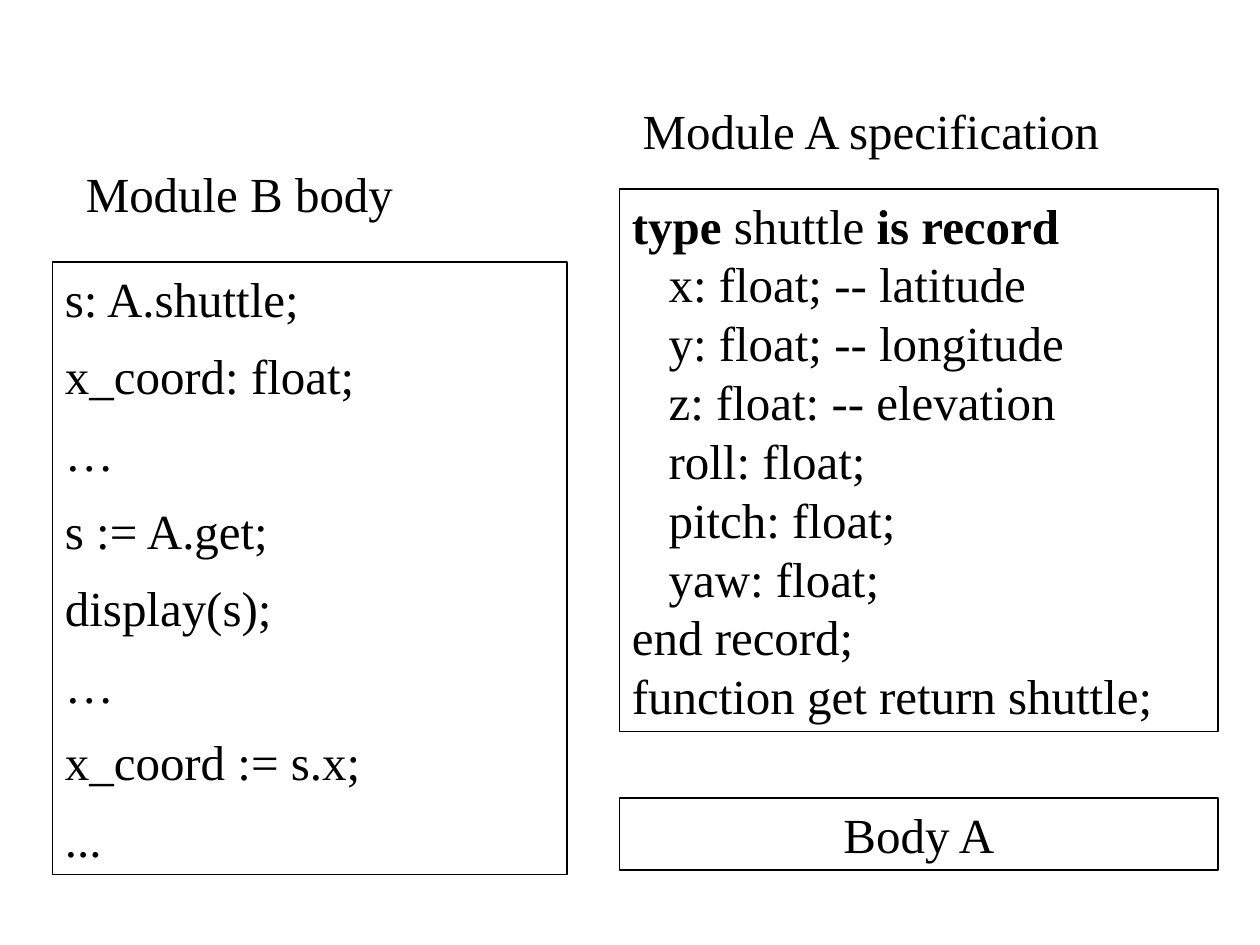
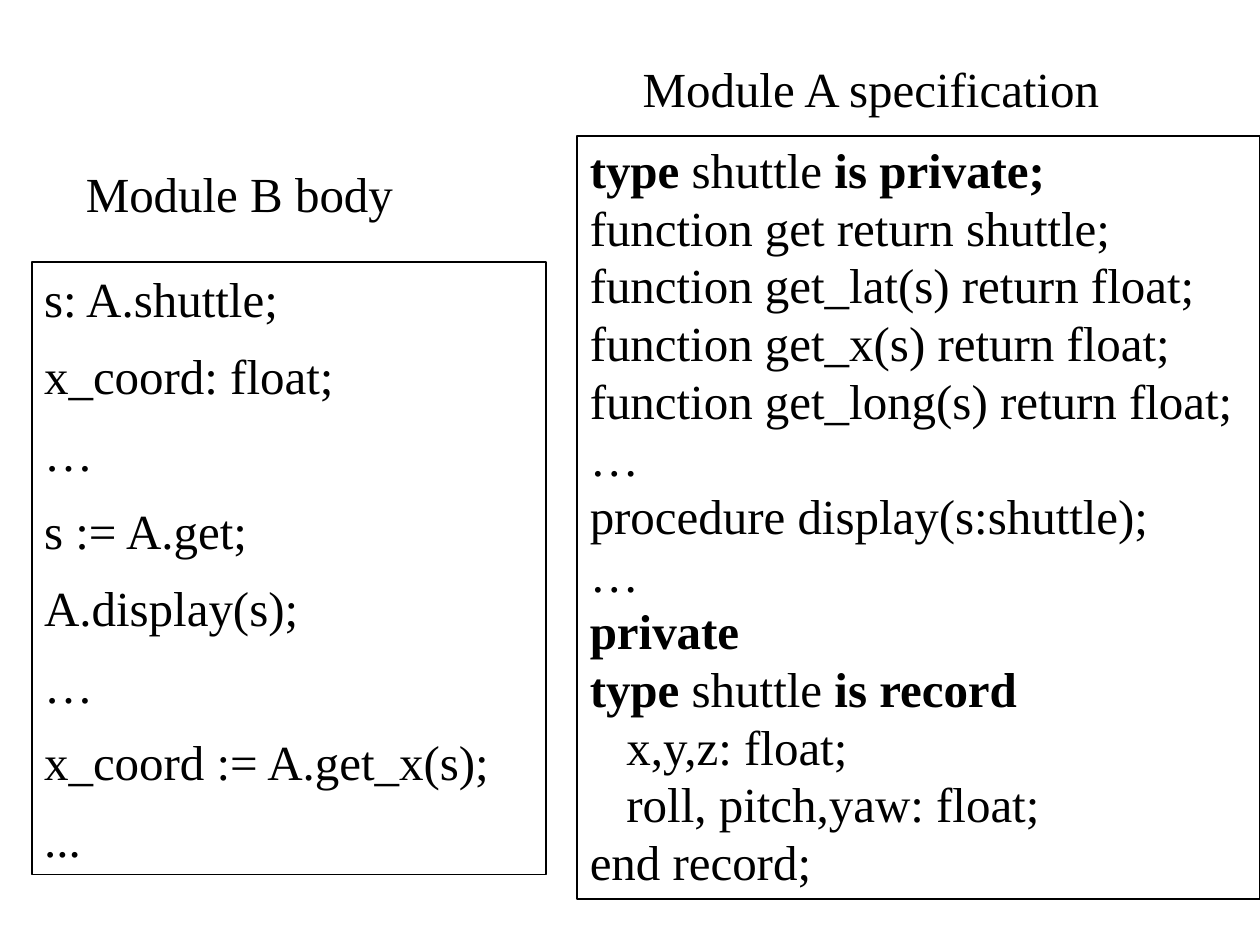
import pptx
import pptx.dml.color
import pptx.enum.shapes
import pptx.enum.text
import pptx.util

Cm = pptx.util.Cm
Pt = pptx.util.Pt
ALIGN = pptx.enum.text.PP_ALIGN
COLORS = {"ink": "000000", "paper": "FFFFFF"}
TITLE_ONLY = 5

HEADING_HEIGHT = 1.45
HEADING_A = "Module A specification"
HEADING_B = "Module B body"

RECORD_SPEC = [
    "*type *shuttle *is record",
    "   x: float; -- latitude",
    "   y: float; -- longitude",
    "   z: float: -- elevation",
    "   roll: float;",
    "   pitch: float;",
    "   yaw: float;",
    "end record;",
    "function get return shuttle;",
]
PRIVATE_SPEC = [
    "*type *shuttle *is private;",
    "function get return shuttle;",
    "function get_lat(s) return float;",
    "function get_x(s) return float;",
    "function get_long(s) return float;",
    "…",
    "procedure display(s:shuttle);",
    "…",
    "*private",
    "*type *shuttle *is record",
    "   x,y,z: float;",
    "   roll, pitch,yaw: float;",
    "end record;",
]


def client_code(display, read_x):
    """Return the lines of module B, which uses the shuttle of module A."""
    return ["s: A.shuttle;", "x_coord: float;", "…", "s := A.get;",
            display, "…", f"x_coord := {read_x};", "..."]


class ModuleDeck:
    """Holds the shared style and the slide being built."""

    font_name = "Times New Roman"
    font_size = Pt(28)

    def __init__(self):
        self.deck = pptx.Presentation()
        self.deck.slide_width = Cm(25.4)
        self.deck.slide_height = Cm(19.05)
        self.slide = None

    def color(self, name):
        return pptx.dml.color.RGBColor.from_string(COLORS[name])

    def add_page(self):
        self.slide = self.deck.slides.add_slide(self.deck.slide_layouts[TITLE_ONLY])
        fill = self.slide.background.fill
        fill.solid()
        fill.fore_color.rgb = self.color("paper")

    def set_lines(self, shape, lines, align=ALIGN.LEFT, gap=0, spacing=None):
        """Fill a shape with lines; an asterisk switches bold on or off."""
        frame = shape.text_frame
        frame.word_wrap = True
        frame.auto_size = pptx.enum.text.MSO_AUTO_SIZE.NONE
        frame.vertical_anchor = pptx.enum.text.MSO_ANCHOR.TOP
        for index, line in enumerate(lines):
            para = frame.add_paragraph() if index else frame.paragraphs[0]
            para.alignment = align
            para.space_before = Pt(gap if index else 0)
            para.line_spacing = spacing
            for position, part in enumerate(line.split("*")):
                if part:
                    span = para.add_run()
                    span.text = part
                    span.font.name = self.font_name
                    span.font.size = self.font_size
                    span.font.bold = position % 2 == 1
                    span.font.color.rgb = self.color("ink")

    def title(self, text, left, top, width):
        shape = self.slide.shapes.title
        shape.left, shape.top = Cm(left), Cm(top)
        shape.width, shape.height = Cm(width), Cm(HEADING_HEIGHT)
        self.set_lines(shape, [text])

    def heading(self, text, left, top, width):
        box = self.slide.shapes.add_textbox(
            Cm(left), Cm(top), Cm(width), Cm(HEADING_HEIGHT))
        self.set_lines(box, [text])

    def frame(self, lines, left, top, width, height, **layout):
        """Add an outlined box of text."""
        box = self.slide.shapes.add_shape(
            pptx.enum.shapes.MSO_SHAPE.RECTANGLE,
            Cm(left), Cm(top), Cm(width), Cm(height))
        box.shadow.inherit = False
        box.fill.background()
        box.line.color.rgb = self.color("ink")
        box.line.width = Pt(1)
        self.set_lines(box, lines, **layout)

    def client_module(self, left, lines):
        self.heading(HEADING_B, 1.48, 3.18, 9.53)
        self.frame(lines, left, 5.29, 10.37, 12.34, gap=10.5)

    def module_page(self, title_top, client_left, client_lines):
        """Start a page with module A's title and module B on the left."""
        self.add_page()
        self.title(HEADING_A, 12.7, title_top, 11.64)
        self.client_module(client_left, client_lines)


def main():
    modules = ModuleDeck()

    modules.module_page(1.9, 1.06, client_code("display(s);", "s.x"))
    modules.frame(RECORD_SPEC, 12.49, 3.81, 12.07, 10.94)
    modules.frame(["Body A"], 12.49, 16.09, 12.07, HEADING_HEIGHT,
                  align=ALIGN.CENTER)

    modules.module_page(1.06, 0.64, client_code("A.display(s);", "A.get_x(s)"))
    modules.frame(PRIVATE_SPEC, 11.64, 2.75, 13.76, 15.37, spacing=0.98)

    modules.deck.save("out.pptx")


if __name__ == "__main__":
    main()
